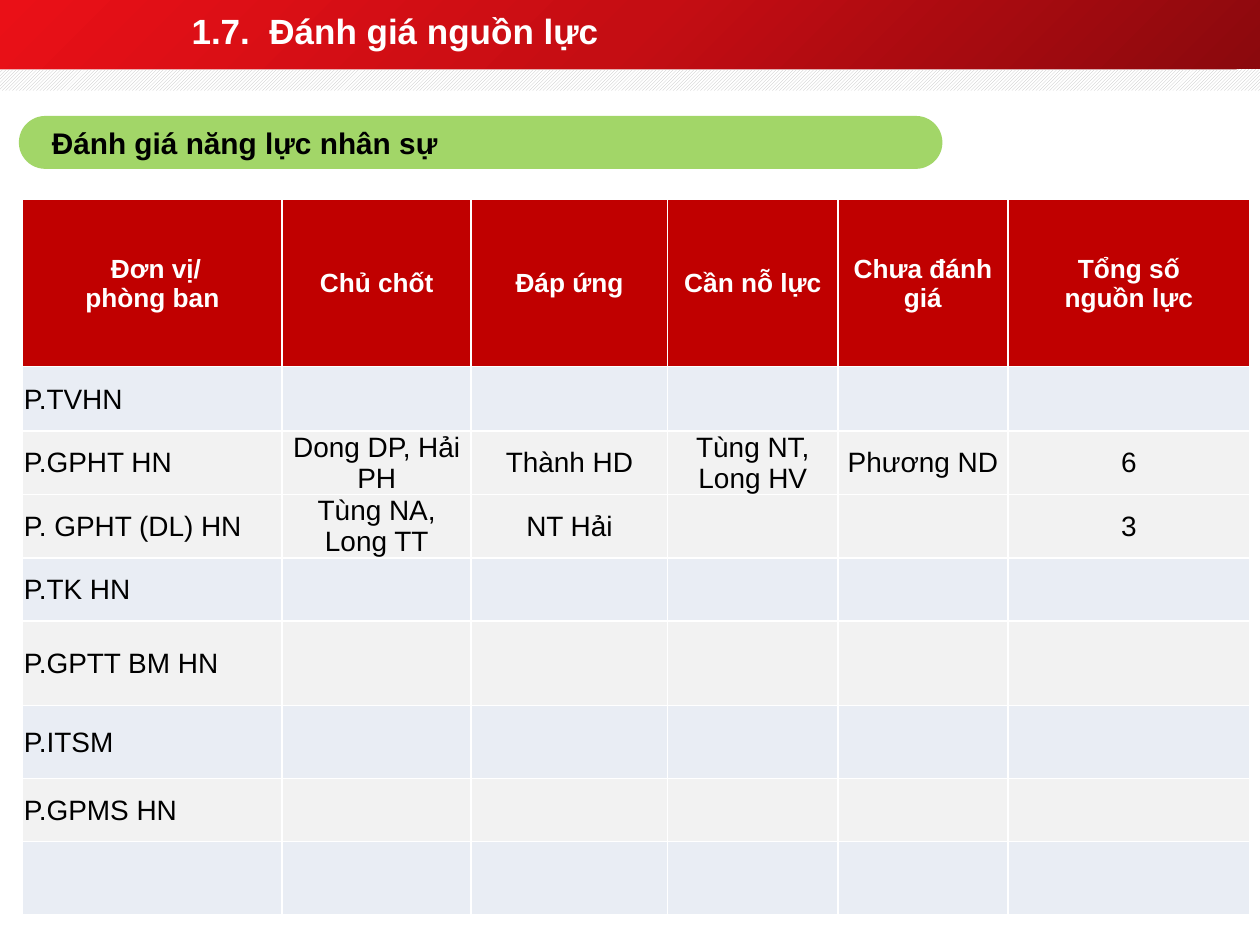
import copy
import dataclasses

import lxml.etree
import pptx
import pptx.dml.color
import pptx.enum.dml
import pptx.enum.shapes
import pptx.enum.text
import pptx.oxml.ns
import pptx.util

Inches = pptx.util.Inches
Shapes = pptx.enum.shapes.MSO_SHAPE
Align = pptx.enum.text.PP_ALIGN
Anchor = pptx.enum.text.MSO_ANCHOR


@dataclasses.dataclass(frozen=True)
class Theme:
    """Colours, font and type sizes of the slide."""
    font: str = "Arial"
    white: str = "FFFFFF"
    black: str = "000000"
    banner: tuple = ((0, "8B090D"), (0.5, "C50D13"), (1, "EA1017"))
    hatch: str = "BFBFBF"
    label: str = "A2D668"
    header: str = "C00000"
    blue_row: str = "E9EDF4"
    grey_row: str = "F2F2F2"
    title_size: int = 20
    label_size: int = 17
    header_size: int = 15
    body_size: int = 16


def rgb(value):
    """Turn a hex string into a colour."""
    return pptx.dml.color.RGBColor.from_string(value)


class SlideBuilder:
    """Holds the theme and the current slide and adds elements to it."""

    def __init__(self, presentation, theme):
        self.theme = theme
        self.slide = presentation.slides.add_slide(presentation.slide_layouts[5])

    def add_text(self, frame, text, size, color, bold=False, align=Align.LEFT):
        """Add paragraphs split by newlines, with line breaks at vertical tabs."""
        for number, content in enumerate(text.split("\n")):
            paragraph = frame.add_paragraph() if number else frame.paragraphs[0]
            paragraph.alignment = align
            for part, line in enumerate(content.split("\v")):
                if part:
                    paragraph.add_line_break()
                run = paragraph.add_run()
                run.text = line
                run.font.name = self.theme.font
                run.font.size = pptx.util.Pt(size)
                run.font.bold = bold
                run.font.color.rgb = rgb(color)

    def shape(self, kind, left, top, width, height):
        """Add a preset shape without line or shadow."""
        shape = self.slide.shapes.add_shape(
            kind, Inches(left), Inches(top), Inches(width), Inches(height))
        shape.shadow.inherit = False
        shape.line.fill.background()
        return shape

    def banner(self, height):
        """Add the gradient band across the top."""
        shape = self.shape(Shapes.RECTANGLE, 0, 0, 10, height)
        shape.fill.gradient()
        shape.fill.gradient_angle = 135
        stop_element = shape.element.find(".//" + pptx.oxml.ns.qn("a:gs"))
        stop_element.addnext(copy.deepcopy(stop_element))
        for stop, (position, color) in zip(shape.fill.gradient_stops, self.theme.banner):
            stop.position = position
            stop.color.rgb = rgb(color)

    def hatching(self, top, height):
        """Add the hatched strip under the banner."""
        shape = self.shape(Shapes.RECTANGLE, 0, top, 10, height)
        shape.fill.patterned()
        shape.fill.pattern = pptx.enum.dml.MSO_PATTERN.DARK_UPWARD_DIAGONAL
        shape.fill.fore_color.rgb = rgb(self.theme.hatch)
        shape.fill.back_color.rgb = rgb(self.theme.white)

    def title(self, text, left, top, width, height):
        """Place the title placeholder in front of the bands."""
        title = self.slide.shapes.title
        self.slide.shapes[-1].element.addnext(title.element)
        title.left, title.top = Inches(left), Inches(top)
        title.width, title.height = Inches(width), Inches(height)
        title.text_frame.vertical_anchor = Anchor.MIDDLE
        self.add_text(title.text_frame, text, self.theme.title_size, self.theme.white, True)

    def label(self, text, left, top, width, height):
        """Add a pill-shaped section label."""
        shape = self.shape(Shapes.ROUNDED_RECTANGLE, left, top, width, height)
        shape.adjustments[0] = 0.5
        shape.fill.solid()
        shape.fill.fore_color.rgb = rgb(self.theme.label)
        frame = shape.text_frame
        frame.word_wrap = False
        frame.vertical_anchor = Anchor.MIDDLE
        frame.margin_left = Inches(0.2)
        self.add_text(frame, text, self.theme.label_size, self.theme.black, True)

    def borders(self, cell):
        """Give a cell thin white borders."""
        properties = cell._tc.get_or_add_tcPr()
        for side in ("a:lnL", "a:lnR", "a:lnT", "a:lnB"):
            line = lxml.etree.SubElement(
                properties, pptx.oxml.ns.qn(side), w=str(int(pptx.util.Pt(1))))
            fill = lxml.etree.SubElement(line, pptx.oxml.ns.qn("a:solidFill"))
            lxml.etree.SubElement(
                fill, pptx.oxml.ns.qn("a:srgbClr"), val=self.theme.white)

    def cell(self, cell, text, fill, size, color, bold, align):
        """Format one table cell and add its text."""
        self.borders(cell)
        cell.fill.solid()
        cell.fill.fore_color.rgb = rgb(fill)
        cell.vertical_anchor = Anchor.MIDDLE
        cell.margin_left = cell.margin_right = cell.margin_top = Inches(0.01)
        cell.margin_bottom = 0
        if text:
            self.add_text(cell.text_frame, text, size, color, bold, align)

    def table(self, left, top, widths, heights, header, rows):
        """Add the table; each row is a fill followed by its texts."""
        theme = self.theme
        table = self.slide.shapes.add_table(
            len(heights), len(widths), Inches(left), Inches(top),
            Inches(sum(widths)), Inches(sum(heights))).table
        for column, width in zip(table.columns, widths):
            column.width = Inches(width)
        for row, height in zip(table.rows, heights):
            row.height = Inches(height)
        for index, text in enumerate(header):
            self.cell(table.cell(0, index), text, theme.header,
                      theme.header_size, theme.white, True, Align.CENTER)
        for number, (fill, *texts) in enumerate(rows, start=1):
            for index in range(len(widths)):
                text = texts[index] if index < len(texts) else ""
                self.cell(table.cell(number, index), text, fill, theme.body_size,
                          theme.black, False, Align.CENTER if index else Align.LEFT)


def main():
    """Build and save the slide."""
    presentation = pptx.Presentation()
    presentation.slide_width, presentation.slide_height = Inches(10), Inches(7.5)
    theme = Theme()
    builder = SlideBuilder(presentation, theme)
    builder.banner(0.55)
    builder.hatching(0.55, 0.17)
    builder.title("1.7.  Đánh giá nguồn lực", 1.42, 0, 7.58, 0.48)
    builder.table(
        0.18, 1.58,
        (2.06, 1.5, 1.56, 1.35, 1.35, 1.92),
        (1.33, 0.51, 0.5, 0.5, 0.5, 0.67, 0.58, 0.5, 0.58),
        (" Đơn vị/\nphòng ban", "Chủ chốt", "Đáp ứng", "Cần nỗ lực",
         "Chưa đánh giá", "Tổng số\vnguồn lực"),
        ((theme.blue_row, "P.TVHN"),
         (theme.grey_row, "P.GPHT HN", "Dong DP, Hải PH", "Thành HD",
          "Tùng NT, Long HV", "Phương ND", "6"),
         (theme.grey_row, "P. GPHT (DL) HN", "Tùng NA, Long TT", "NT Hải", "", "", "3"),
         (theme.blue_row, "P.TK HN"),
         (theme.grey_row, "P.GPTT BM HN"),
         (theme.blue_row, "P.ITSM"),
         (theme.grey_row, "P.GPMS HN"),
         (theme.blue_row,)))
    builder.label("Đánh giá năng lực nhân sự", 0.15, 0.92, 7.33, 0.42)
    presentation.save("out.pptx")


if __name__ == "__main__":
    main()
